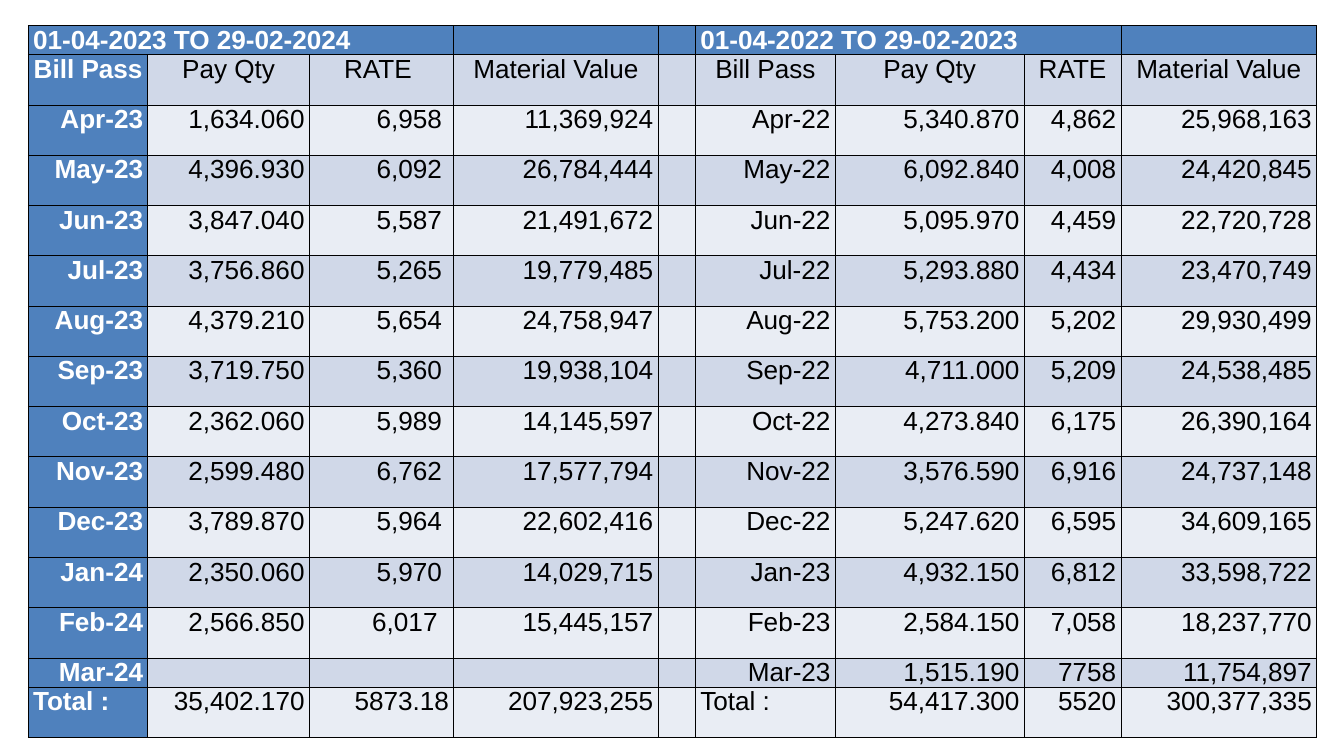
from lxml.etree import SubElement
from pptx import Presentation
from pptx.dml.color import RGBColor
from pptx.enum.text import PP_ALIGN
from pptx.oxml.ns import qn
from pptx.util import Cm, Pt

COLORS = {"header": "4F81BD", "dark_band": "D0D8E8", "light_band": "E9EDF4",
          "border": "000000", "text": "000000", "header_text": "FFFFFF"}

COLUMN_WIDTHS = [4.52, 6.1, 5.46, 7.72, 1.42, 5.28, 7.14, 3.66, 7.39]
SHORT_ROW, TALL_ROW = 1.02, 1.9
SIDE_MARGIN = 0.18
RATE_MARGIN = 0.45
RATE_COLUMN, SECOND_YEAR_COLUMN = 2, 5

PERIODS = ["01-04-2023 TO 29-02-2024", "01-04-2022 TO 29-02-2023"]
HEADINGS = ["Bill Pass", "Pay Qty", "RATE", "Material Value"]
CURRENT_YEAR = [
    ["Apr-23", "1,634.060", "6,958", "11,369,924"],
    ["May-23", "4,396.930", "6,092", "26,784,444"],
    ["Jun-23", "3,847.040", "5,587", "21,491,672"],
    ["Jul-23", "3,756.860", "5,265", "19,779,485"],
    ["Aug-23", "4,379.210", "5,654", "24,758,947"],
    ["Sep-23", "3,719.750", "5,360", "19,938,104"],
    ["Oct-23", "2,362.060", "5,989", "14,145,597"],
    ["Nov-23", "2,599.480", "6,762", "17,577,794"],
    ["Dec-23", "3,789.870", "5,964", "22,602,416"],
    ["Jan-24", "2,350.060", "5,970", "14,029,715"],
    ["Feb-24", "2,566.850", "6,017", "15,445,157"],
    ["Mar-24", "", "", ""],
    ["Total :", "35,402.170", "5873.18", "207,923,255"],
]
PREVIOUS_YEAR = [
    ["Apr-22", "5,340.870", "4,862", "25,968,163"],
    ["May-22", "6,092.840", "4,008", "24,420,845"],
    ["Jun-22", "5,095.970", "4,459", "22,720,728"],
    ["Jul-22", "5,293.880", "4,434", "23,470,749"],
    ["Aug-22", "5,753.200", "5,202", "29,930,499"],
    ["Sep-22", "4,711.000", "5,209", "24,538,485"],
    ["Oct-22", "4,273.840", "6,175", "26,390,164"],
    ["Nov-22", "3,576.590", "6,916", "24,737,148"],
    ["Dec-22", "5,247.620", "6,595", "34,609,165"],
    ["Jan-23", "4,932.150", "6,812", "33,598,722"],
    ["Feb-23", "2,584.150", "7,058", "18,237,770"],
    ["Mar-23", "1,515.190", "7758", "11,754,897"],
    ["Total :", "54,417.300", "5520", "300,377,335"],
]


def add_borders(cell):
    properties = cell._tc.get_or_add_tcPr()
    for side in ("a:lnL", "a:lnR", "a:lnT", "a:lnB"):
        line = SubElement(properties, qn(side), w=str(Pt(1)))
        fill = SubElement(line, qn("a:solidFill"))
        SubElement(fill, qn("a:srgbClr"), val=COLORS["border"])


def format_cell(cell, text, fill, alignment, is_header):
    add_borders(cell)
    cell.fill.solid()
    cell.fill.fore_color.rgb = RGBColor.from_string(COLORS[fill])
    cell.margin_left = cell.margin_right = Cm(SIDE_MARGIN)
    cell.margin_top = cell.margin_bottom = 0
    if not text:
        return
    cell.text_frame.text = text
    paragraph = cell.text_frame.paragraphs[0]
    paragraph.alignment = alignment
    font = paragraph.runs[0].font
    font.name, font.size, font.bold = "Arial", Pt(28), is_header
    font.color.rgb = RGBColor.from_string(COLORS["header_text" if is_header else "text"])


def alignment_for(row, text):
    if row == 0 or text.startswith("Total"):
        return PP_ALIGN.LEFT
    return PP_ALIGN.CENTER if row == 1 else PP_ALIGN.RIGHT


def add_comparison_table(slide, left, top):
    """Place both years side by side, with an empty column between them."""
    rows = [[PERIODS[0], "", "", "", "", PERIODS[1], "", "", ""],
            HEADINGS + [""] + HEADINGS]
    rows += [current + [""] + previous
             for current, previous in zip(CURRENT_YEAR, PREVIOUS_YEAR)]
    heights = [SHORT_ROW if row[0] in (PERIODS[0], "Mar-24") else TALL_ROW for row in rows]
    table = slide.shapes.add_table(len(rows), len(COLUMN_WIDTHS), Cm(left), Cm(top),
                                   Cm(sum(COLUMN_WIDTHS)), Cm(sum(heights))).table
    table.first_row = table.horz_banding = False
    for column, width in zip(table.columns, COLUMN_WIDTHS):
        column.width = Cm(width)
    for row, height in zip(table.rows, heights):
        row.height = Cm(height)

    for row_index, row in enumerate(rows):
        band = "dark_band" if row_index % 2 else "light_band"
        for column_index, text in enumerate(row):
            is_header = row_index == 0 or column_index == 0
            format_cell(table.cell(row_index, column_index), text,
                        "header" if is_header else band,
                        alignment_for(row_index, text), is_header)

    for first in (0, SECOND_YEAR_COLUMN):
        table.cell(0, first).merge(table.cell(0, first + 2))
    for row_index in range(1, len(rows) - 1):
        table.cell(row_index, RATE_COLUMN).margin_right = Cm(RATE_MARGIN)
    february = table.cell(12, RATE_COLUMN)
    february.margin_left = Cm(2.38)
    february.text_frame.paragraphs[0].alignment = PP_ALIGN.LEFT


def main():
    presentation = Presentation()
    presentation.slide_width, presentation.slide_height = Cm(50.8), Cm(28.58)
    slide = presentation.slides.add_slide(presentation.slide_layouts[6])
    add_comparison_table(slide, 1.07, 0.97)
    presentation.save("out.pptx")


if __name__ == "__main__":
    main()
